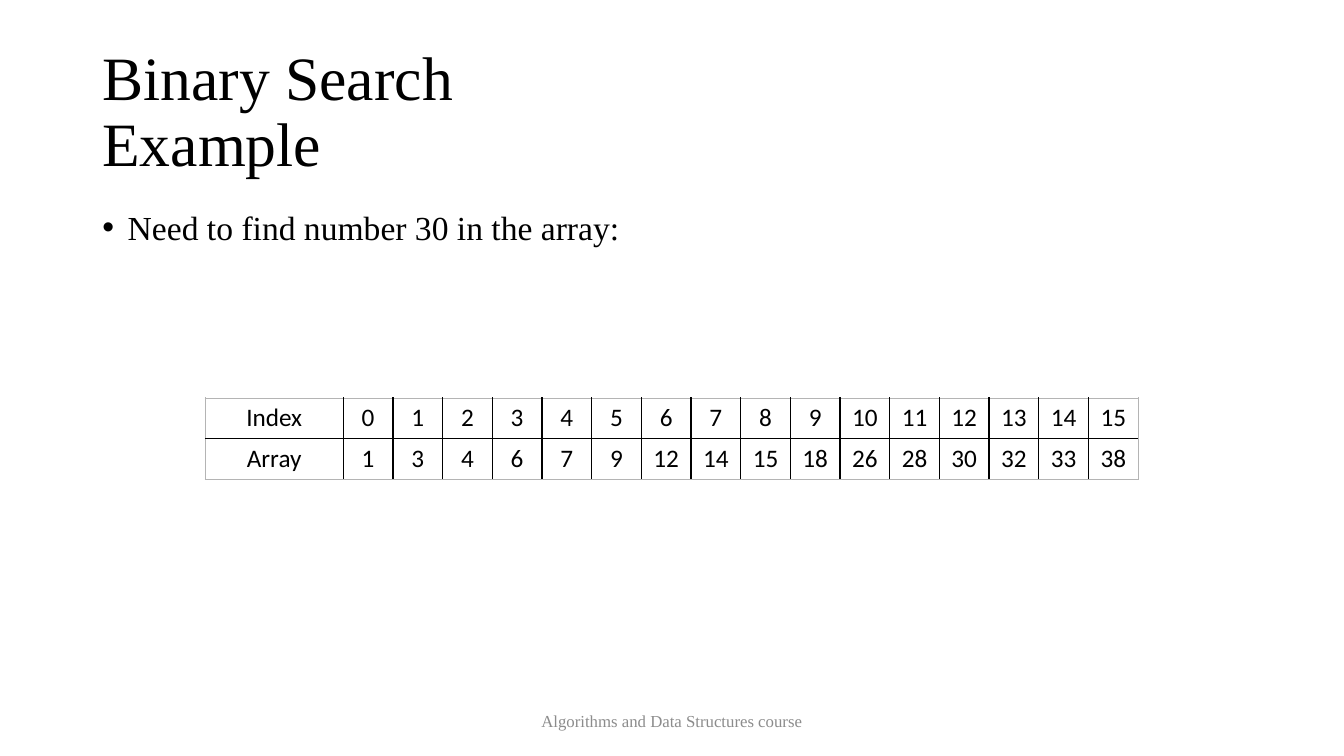
"""Build the binary search example slide."""
import pptx
import pptx.dml.color
import pptx.enum.text
import pptx.util
from lxml import etree
from pptx.oxml.ns import qn

Cm = pptx.util.Cm
Pt = pptx.util.Pt
Align = pptx.enum.text.PP_ALIGN
Anchor = pptx.enum.text.MSO_ANCHOR


class Theme:
    black = "000000"
    gray = "8C8C8C"
    pale = "B4B4B4"
    serif = "Times New Roman"
    sans = "Calibri"
    title = 44
    body = 24
    cell = 18
    foot = 12
    inner = 1
    outer = 0.25


def write(frame, text, size, font=Theme.serif, color=Theme.black,
          align=Align.LEFT, space=1.0, before=0):
    """Fill a text frame with one formatted paragraph."""
    para = frame.paragraphs[0]
    para.text = text
    para.alignment = align
    para.line_spacing = space
    para.space_before = Pt(before)
    for run in para.runs:
        run.font.size = Pt(size)
        run.font.name = font
        run.font.color.rgb = pptx.dml.color.RGBColor.from_string(color)
    return para


deck = pptx.Presentation()
deck.slide_width = Cm(33.87)
deck.slide_height = Cm(19.05)
slide = deck.slides.add_slide(deck.slide_layouts[6])

frames = []
for left, top, width, height, anchor in [
    (2.33, 1.02, 29.21, 3.68, Anchor.MIDDLE),
    (2.33, 5.2, 29.21, 4.32, Anchor.TOP),
    (11.22, 17.66, 11.43, 1.01, Anchor.MIDDLE),
]:
    box = slide.shapes.add_textbox(Cm(left), Cm(top), Cm(width), Cm(height))
    box.text_frame.word_wrap = True
    box.text_frame.vertical_anchor = anchor
    frames.append(box.text_frame)
title, body, foot = frames

write(title, "Binary Search\vExample", Theme.title, space=0.9)
item = write(body, "Need to find number 30 in the array:", Theme.body,
             space=0.9, before=10)
write(foot, "Algorithms and Data Structures course", Theme.foot,
      color=Theme.gray, align=Align.CENTER)

props = item._p.get_or_add_pPr()
props.set("marL", str(Cm(0.64)))
props.set("indent", str(-Cm(0.64)))
etree.SubElement(props, qn("a:buFont"), typeface="Arial")
etree.SubElement(props, qn("a:buChar"), char="•")

array = [1, 3, 4, 6, 7, 9, 12, 14, 15, 18, 26, 28, 30, 32, 33, 38]
rows = [["Index", *range(len(array))], ["Array", *array]]
wide, head = 23.52, 3.48
table = slide.shapes.add_table(len(rows), len(rows[0]), Cm(5.17), Cm(10.02),
                               Cm(wide), Cm(2.06)).table
table.first_row = False
table.horz_banding = False
for col, column in enumerate(table.columns):
    column.width = Cm((wide - head) / len(array) if col else head)

for row, values in enumerate(rows):
    table.rows[row].height = Cm(1.03)
    for col, value in enumerate(values):
        cell = table.cell(row, col)
        write(cell.text_frame, str(value), Theme.cell, font=Theme.sans,
              align=Align.CENTER)
        props = cell._tc.get_or_add_tcPr()
        edges = {"L": col == 0, "R": col == len(array),
                 "T": row == 0, "B": row == len(rows) - 1}
        for side, edge in edges.items():
            width = Pt(Theme.outer if edge else Theme.inner)
            line = etree.SubElement(props, qn(f"a:ln{side}"), w=str(width))
            fill = etree.SubElement(line, qn("a:solidFill"))
            etree.SubElement(fill, qn("a:srgbClr"),
                             val=Theme.pale if edge else Theme.black)
        cell.fill.background()

deck.save("out.pptx")
